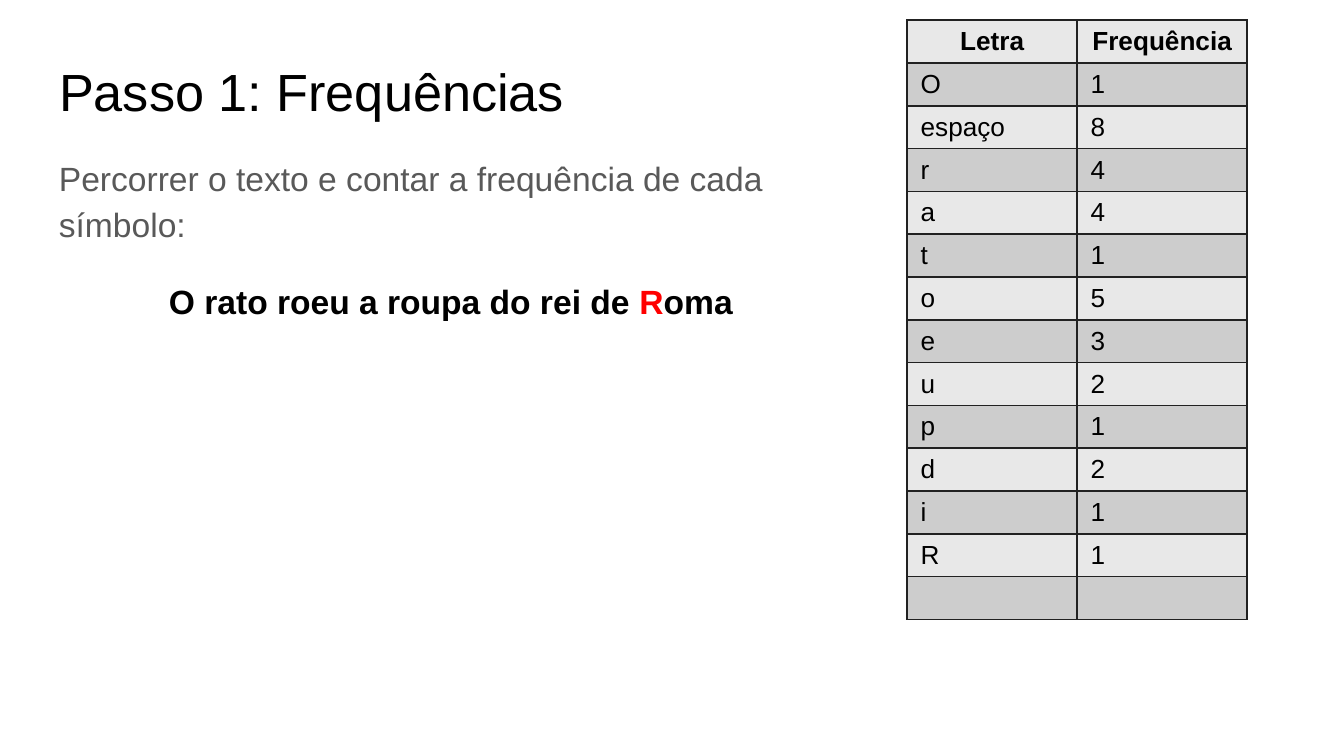
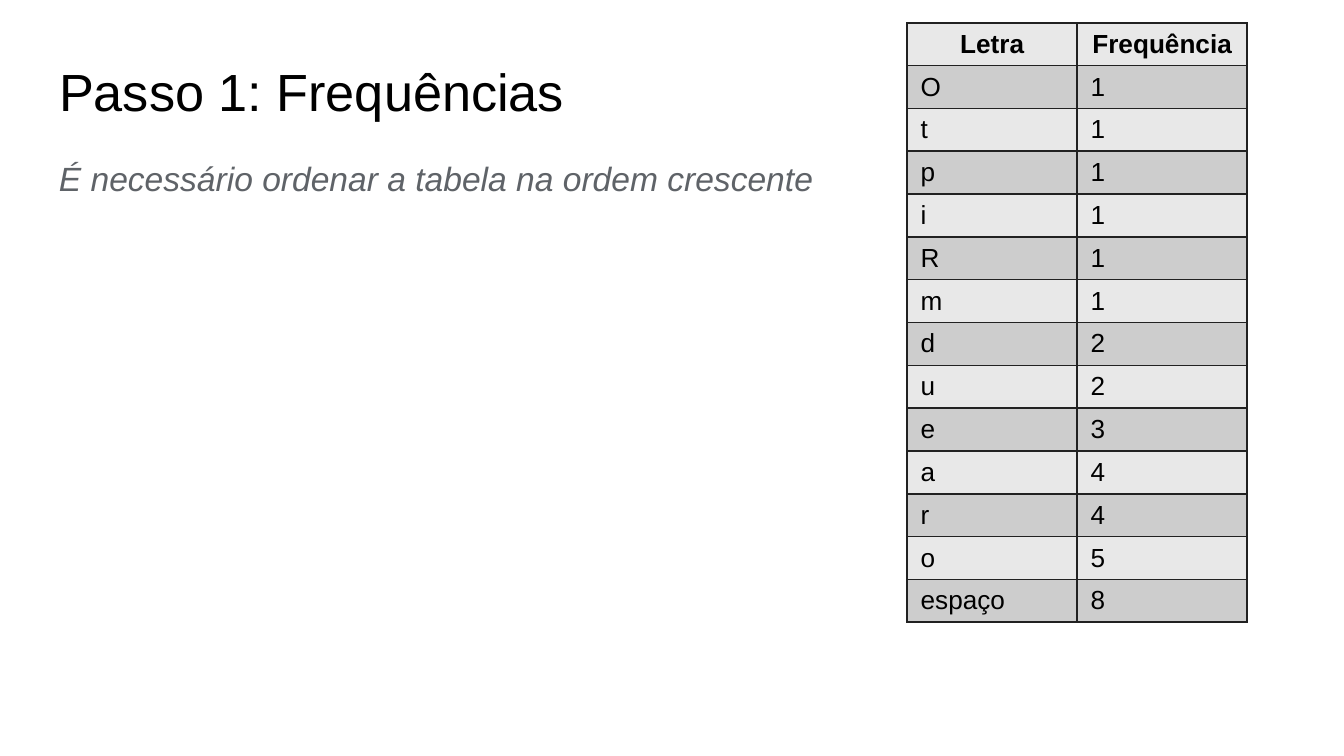
from dataclasses import dataclass

from lxml import etree
from pptx import Presentation, slide as sl, table as tb, util as u
from pptx.dml import color as c
from pptx.enum import text as t
from pptx.oxml import ns
from pptx.text import text as tx

BLACK = c.RGBColor(0x00, 0x00, 0x00)
GREY = c.RGBColor(0x59, 0x59, 0x59)
SLATE = c.RGBColor(0x5F, 0x63, 0x68)
RED = c.RGBColor(0xFF, 0x00, 0x00)
LIGHT = c.RGBColor(0xE8, 0xE8, 0xE8)
DARK = c.RGBColor(0xCD, 0xCD, 0xCD)
EDGE = c.RGBColor(0x21, 0x21, 0x21)

WIDE = u.Inches(10)
HIGH = WIDE * 9 // 16
PAD = u.Inches(0.1)
FACE = "Arial"
TITLE = "Passo 1: Frequências"
HEAD = ("Letra", "Frequência")


@dataclass(frozen=True)
class Piece:
    text: str
    color: c.RGBColor


@dataclass(frozen=True)
class Line:
    pieces: tuple[Piece, ...]
    bold: bool = False
    italic: bool = False
    align: t.PP_ALIGN = t.PP_ALIGN.LEFT
    before: int = 0


@dataclass(frozen=True)
class Page:
    lines: tuple[Line, ...]
    rows: tuple[tuple[str, str], ...]
    top: float


PAGES = (
    Page(
        lines=(
            Line((Piece("Percorrer o texto e contar a frequência de cada símbolo:", GREY),)),
            Line(
                (
                    Piece("O rato roeu a roupa do rei de ", BLACK),
                    Piece("R", RED),
                    Piece("oma", BLACK),
                ),
                bold=True,
                align=t.PP_ALIGN.CENTER,
                before=16,
            ),
        ),
        rows=(
            ("O", "1"), ("espaço", "8"), ("r", "4"), ("a", "4"), ("t", "1"),
            ("o", "5"), ("e", "3"), ("u", "2"), ("p", "1"), ("d", "2"),
            ("i", "1"), ("R", "1"), ("", ""),
        ),
        top=0.15,
    ),
    Page(
        lines=(
            Line(
                (Piece("É necessário ordenar a tabela na ordem crescente", SLATE),),
                italic=True,
            ),
        ),
        rows=(
            ("O", "1"), ("t", "1"), ("p", "1"), ("i", "1"), ("R", "1"),
            ("m", "1"), ("d", "2"), ("u", "2"), ("e", "3"), ("a", "4"),
            ("r", "4"), ("o", "5"), ("espaço", "8"),
        ),
        top=0.17,
    ),
)


def style(font: tx.Font, size: int, bold: bool = False, italic: bool = False) -> None:
    font.name = FACE
    font.size = u.Pt(size)
    font.bold = bold
    font.italic = italic


def inset(frame: tx.TextFrame) -> None:
    frame.word_wrap = True
    frame.vertical_anchor = t.MSO_ANCHOR.TOP
    frame.margin_left = frame.margin_right = PAD
    frame.margin_top = frame.margin_bottom = PAD


def add_title(slide: sl.Slide) -> None:
    title = slide.shapes.title
    title.left, title.top = u.Inches(0.34), u.Inches(0.34)
    title.width, title.height = u.Inches(9.32), u.Inches(0.63)
    inset(title.text_frame)
    para = title.text_frame.paragraphs[0]
    para.text = TITLE
    para.alignment = t.PP_ALIGN.LEFT
    style(para.font, 28)
    para.font.color.rgb = BLACK


def add_body(slide: sl.Slide, lines: tuple[Line, ...]) -> None:
    box = slide.shapes.add_textbox(
        u.Inches(0.34), u.Inches(1.03), u.Inches(6.03), u.Inches(4.59)
    )
    frame = box.text_frame
    inset(frame)
    for i, line in enumerate(lines):
        para = frame.add_paragraph() if i else frame.paragraphs[0]
        para.alignment = line.align
        para.line_spacing = 1.15
        para.space_before = u.Pt(line.before)
        style(para.font, 18, line.bold, line.italic)
        for piece in line.pieces:
            run = para.add_run()
            run.text = piece.text
            run.font.color.rgb = piece.color


def add_edges(cell: tb._Cell) -> None:
    props = cell._tc.get_or_add_tcPr()
    for side in ("lnL", "lnR", "lnT", "lnB"):
        edge = etree.SubElement(props, ns.qn(f"a:{side}"), w=str(u.Pt(1)))
        fill = etree.SubElement(edge, ns.qn("a:solidFill"))
        etree.SubElement(fill, ns.qn("a:srgbClr"), val=str(EDGE))


def add_grid(slide: sl.Slide, rows: tuple[tuple[str, str], ...], top: float) -> None:
    data = (HEAD, *rows)
    table = slide.shapes.add_table(
        len(data), len(HEAD),
        u.Inches(6.75), u.Inches(top), u.Inches(2.53), u.Inches(4.46),
    ).table
    table.horz_banding = False
    for i, row in enumerate(data):
        for j, value in enumerate(row):
            cell = table.cell(i, j)
            add_edges(cell)
            cell.fill.solid()
            cell.fill.fore_color.rgb = DARK if i % 2 else LIGHT
            cell.margin_left = cell.margin_right = PAD
            cell.margin_top = cell.margin_bottom = 0
            cell.vertical_anchor = t.MSO_ANCHOR.MIDDLE
            para = cell.text_frame.paragraphs[0]
            if value:
                para.text = value
            para.alignment = t.PP_ALIGN.LEFT if i else t.PP_ALIGN.CENTER
            style(para.font, 14, bold=i == 0)
            para.font.color.rgb = BLACK


def build() -> None:
    deck = Presentation()
    deck.slide_width, deck.slide_height = WIDE, HIGH
    for page in PAGES:
        slide = deck.slides.add_slide(deck.slide_layouts[5])
        add_title(slide)
        add_body(slide, page.lines)
        add_grid(slide, page.rows, page.top)
    deck.save("out.pptx")


build()
